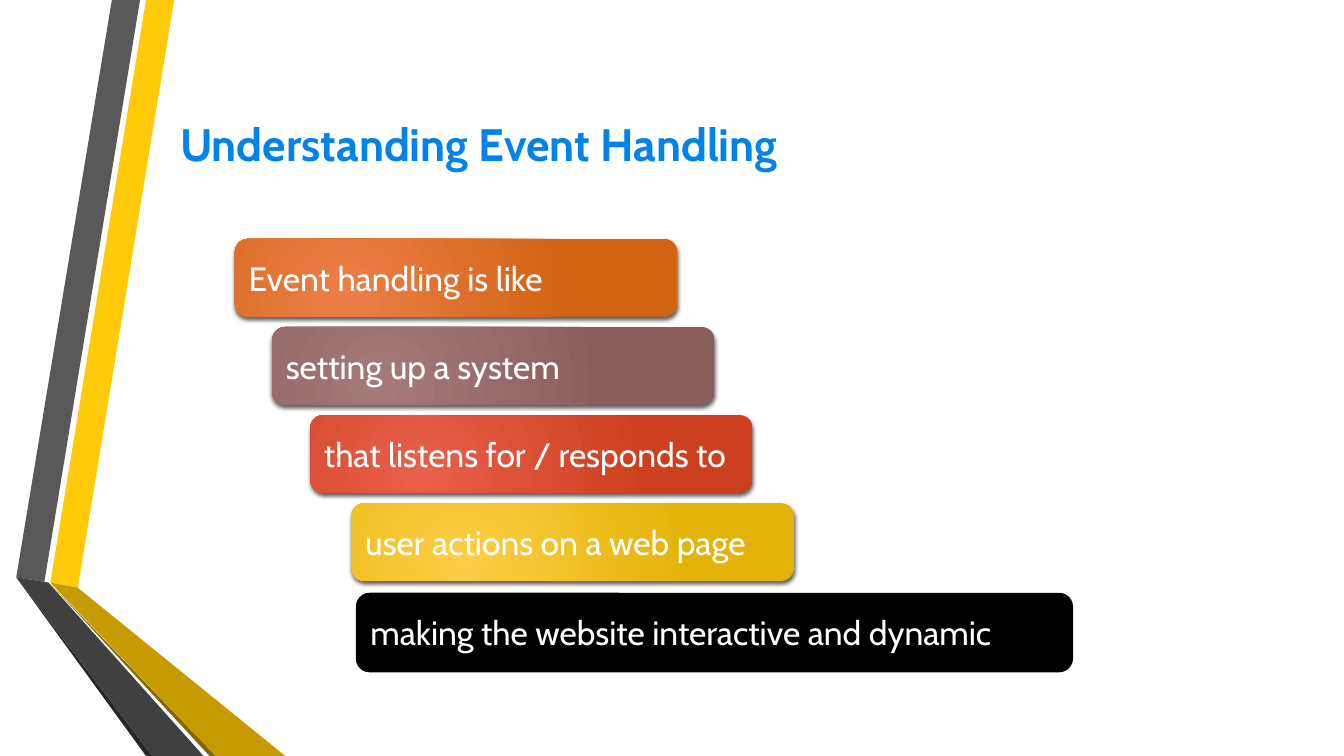
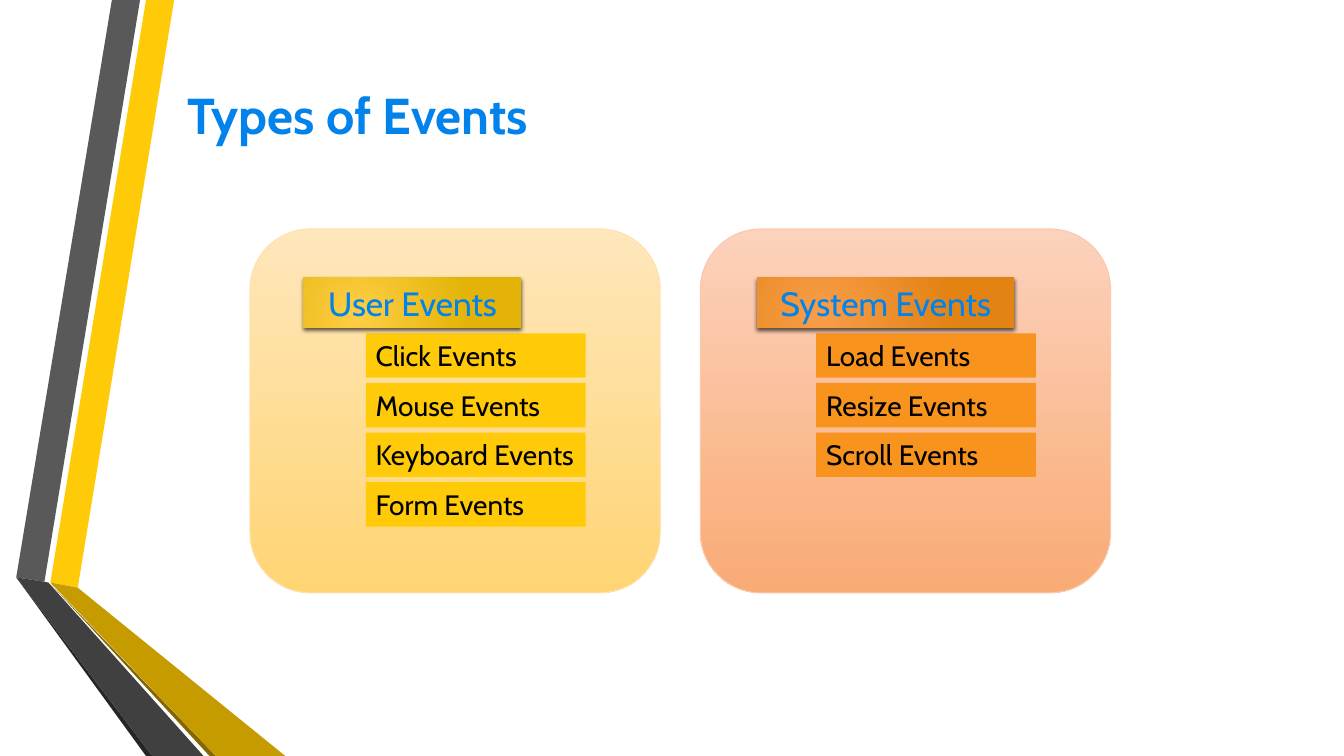
import lxml.etree
import pptx
import pptx.dml.color
import pptx.enum.shapes
import pptx.enum.text
import pptx.oxml.ns
import pptx.util

Cm = pptx.util.Cm
Pt = pptx.util.Pt
RGBColor = pptx.dml.color.RGBColor
SHAPE = pptx.enum.shapes.MSO_SHAPE
ALIGN = pptx.enum.text.PP_ALIGN
qn = pptx.oxml.ns.qn

FONT = "Cabin"
BLUE = RGBColor(0x02, 0x82, 0xEB)
WHITE = RGBColor(0xFF, 0xFF, 0xFF)
BLACK = RGBColor(0x00, 0x00, 0x00)
YELLOW = RGBColor(0xFF, 0xCA, 0x08)
ORANGE = RGBColor(0xF8, 0x93, 0x1D)
DARK_YELLOW = RGBColor(0xC5, 0x9B, 0x00)
BROWN = RGBColor(0x84, 0x67, 0x00)
GREY = RGBColor(0x59, 0x59, 0x59)
DARK_GREY = RGBColor(0x40, 0x40, 0x40)
CHARCOAL = RGBColor(0x26, 0x26, 0x26)
PALE_YELLOW_LINE = RGBColor(0xFF, 0xE1, 0xAB)
PALE_ORANGE_LINE = RGBColor(0xFB, 0xC8, 0xAC)

# Gradients, from first to last colour
RUST_GLOW = (RGBColor(0xED, 0x7E, 0x47), RGBColor(0xD2, 0x64, 0x14))
MAUVE_GLOW = (RGBColor(0xA4, 0x79, 0x79), RGBColor(0x8B, 0x5E, 0x5E))
RED_GLOW = (RGBColor(0xE8, 0x5F, 0x4B), RGBColor(0xCD, 0x40, 0x1F))
YELLOW_GLOW = (RGBColor(0xFF, 0xCE, 0x46), RGBColor(0xE3, 0xB4, 0x07))
ORANGE_GLOW = (RGBColor(0xF9, 0x9D, 0x49), RGBColor(0xE2, 0x83, 0x14))
PALE_YELLOW = (RGBColor(0xFF, 0xE7, 0xBC), RGBColor(0xFF, 0xD4, 0x73))
PALE_ORANGE = (RGBColor(0xFC, 0xD2, 0xBC), RGBColor(0xF9, 0xAB, 0x75))

# Ribbon facets: colour and outline in centimetres
RIBBONS = [
    (YELLOW, [(1.27, 14.68), (1.96, 14.81), (4.39, 0), (3.68, 0)]),
    (GREY, [(3.53, 0), (2.82, 0), (0.41, 14.55), (1.12, 14.66)]),
    (CHARCOAL, [(0.41, 14.55), (3.68, 19.05), (3.84, 19.05)]),
    (BROWN, [(1.27, 14.71), (5.28, 19.05), (5.44, 19.05)]),
    (DARK_YELLOW, [(1.27, 14.68), (5.44, 19.05), (7.19, 19.05), (1.96, 14.81)]),
    (DARK_GREY, [(5.13, 19.05), (1.22, 14.68), (1.12, 14.66), (0.41, 14.55),
                 (3.84, 19.05)]),
]


def set_text(tf, text, size, color, bold=False, align=ALIGN.LEFT):
    tf.word_wrap = True
    tf.auto_size = pptx.enum.text.MSO_AUTO_SIZE.NONE
    tf.vertical_anchor = pptx.enum.text.MSO_ANCHOR.MIDDLE
    p = tf.paragraphs[0]
    p.alignment = align
    r = p.add_run()
    r.text = text
    r.font.name = FONT
    r.font.size = Pt(size)
    r.font.bold = bold
    r.font.color.rgb = color


def set_solid(shape, color):
    shape.shadow.inherit = False
    shape.fill.solid()
    shape.fill.fore_color.rgb = color
    shape.line.fill.background()


def set_gradient(shape, colors):
    """Fill from top to bottom."""
    shape.shadow.inherit = False
    shape.line.fill.background()
    shape.fill.gradient()
    shape.fill.gradient_angle = 270
    for stop, color in zip(shape.fill.gradient_stops, colors):
        stop.color.rgb = color


def set_glow(shape, colors):
    """Fill with a round gradient and drop a soft shadow below."""
    set_gradient(shape, colors)
    sub = lxml.etree.SubElement
    grad = shape.element.spPr.find(qn("a:gradFill"))
    grad.remove(grad.find(qn("a:lin")))
    circle = sub(grad, qn("a:path"), {"path": "circle"})
    sub(circle, qn("a:fillToRect"),
        {"l": "50000", "t": "100000", "r": "100000", "b": "50000"})
    effects = shape.element.spPr.find(qn("a:effectLst"))
    shadow = sub(effects, qn("a:outerShdw"),
                 {"blurRad": str(Pt(3)), "dist": str(Pt(2)),
                  "dir": "5400000", "algn": "ctr", "rotWithShape": "0"})
    black = sub(shadow, qn("a:srgbClr"), {"val": "000000"})
    sub(black, qn("a:alpha"), {"val": "64000"})


def add_box(s, kind, left, top, width, height):
    return s.shapes.add_shape(kind, Cm(left), Cm(top), Cm(width), Cm(height))


def add_title(s, text, left, top, width, size):
    title = s.shapes.title
    title.left, title.top = Cm(left), Cm(top)
    title.width, title.height = Cm(width), Cm(1.98)
    tf = title.text_frame
    tf.margin_left = tf.margin_right = 0
    set_text(tf, text, size, BLUE, bold=True, align=ALIGN.CENTER)


def add_ribbons(s):
    """Draw the ribbons and move them to the layout, behind its placeholders."""
    for i, (color, outline) in enumerate(RIBBONS):
        points = [(Cm(x), Cm(y)) for x, y in outline]
        builder = s.shapes.build_freeform(*points[0])
        builder.add_line_segments(points[1:], close=True)
        ribbon = builder.convert_to_shape()
        set_solid(ribbon, color)
        s.slide_layout.element.cSld.spTree.insert(2 + i, ribbon.element)


def add_step(s, text, left, top, width=11.15, glow=None):
    box = add_box(s, SHAPE.ROUNDED_RECTANGLE, left, top, width, 1.96)
    if glow:
        set_glow(box, glow)
    else:
        set_solid(box, BLACK)
        box.line.color.rgb = BLACK
        box.line.width = Pt(1.25)
    set_text(box.text_frame, text, 24, WHITE)


def add_panel(s, left, colors, line_color):
    panel = add_box(s, SHAPE.ROUNDED_RECTANGLE, left, 5.77, 10.34, 9.17)
    set_gradient(panel, colors)
    panel.line.color.rgb = line_color
    panel.line.width = Pt(0.75)


def add_event_list(s, left, items, color):
    for i, item in enumerate(items):
        box = add_box(s, SHAPE.RECTANGLE, left, 8.4 + i * 1.25, 5.54, 1.12)
        set_solid(box, color)
        box.text_frame.margin_right = Cm(0.1)
        set_text(box.text_frame, item, 20, BLACK)


def add_heading(s, text, left, width, glow):
    heading = add_box(s, SHAPE.RECTANGLE, left, 6.99, width, 1.27)
    set_glow(heading, glow)
    set_text(heading.text_frame, text, 24, BLUE, align=ALIGN.CENTER)


def build_understanding(s):
    add_title(s, "Understanding Event Handling", 4.27, 2.62, 15.6, 32.4)
    add_step(s, "Event handling is like", 5.92, 6.02, glow=RUST_GLOW)
    add_step(s, "setting up a system", 6.86, 8.24, glow=MAUVE_GLOW)
    add_step(s, "that listens for / responds to", 7.82, 10.46, glow=RED_GLOW)
    add_step(s, "user actions on a web page", 8.86, 12.68, glow=YELLOW_GLOW)
    add_step(s, "making the website interactive and dynamic", 8.99, 14.96,
             width=18.03)


def build_types(s):
    add_title(s, "Types of Events", 4.47, 1.9, 9.1, 36)
    add_panel(s, 6.3, PALE_YELLOW, PALE_YELLOW_LINE)
    add_event_list(s, 9.22, ["Click Events", "Mouse Events",
                             "Keyboard Events", "Form Events"], YELLOW)
    add_heading(s, "User Events", 7.65, 5.49, YELLOW_GLOW)
    add_panel(s, 17.65, PALE_ORANGE, PALE_ORANGE_LINE)
    add_event_list(s, 20.57, ["Load Events", "Resize Events",
                              "Scroll Events"], ORANGE)
    add_heading(s, "System Events", 19.08, 6.48, ORANGE_GLOW)


def main():
    prs = pptx.Presentation()
    prs.slide_width, prs.slide_height = Cm(33.87), Cm(19.05)
    layout = prs.slide_layouts.get_by_name("Title Only")
    slides = [prs.slides.add_slide(layout) for _ in range(2)]
    add_ribbons(slides[0])
    build_understanding(slides[0])
    build_types(slides[1])
    prs.save("out.pptx")


if __name__ == "__main__":
    main()
